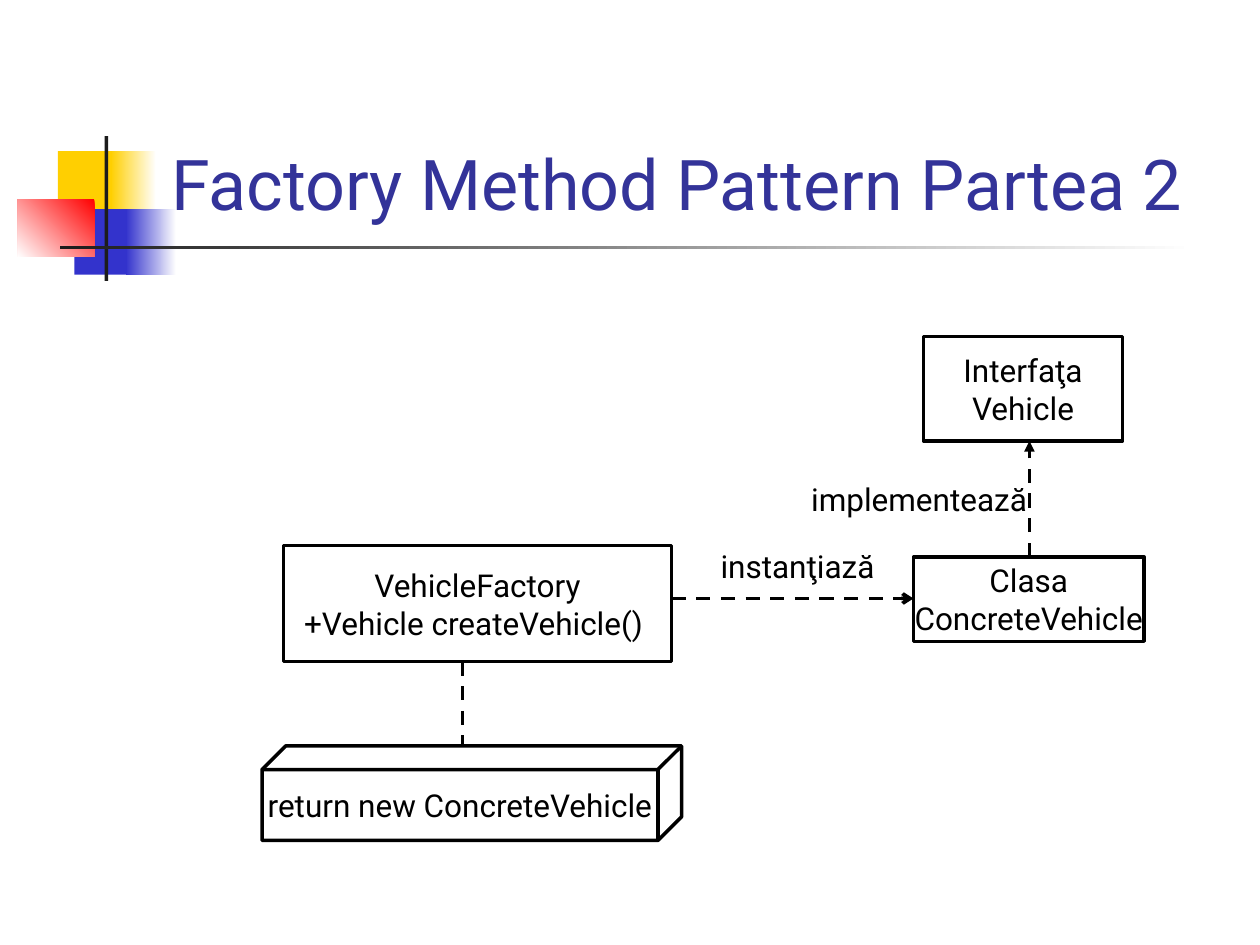
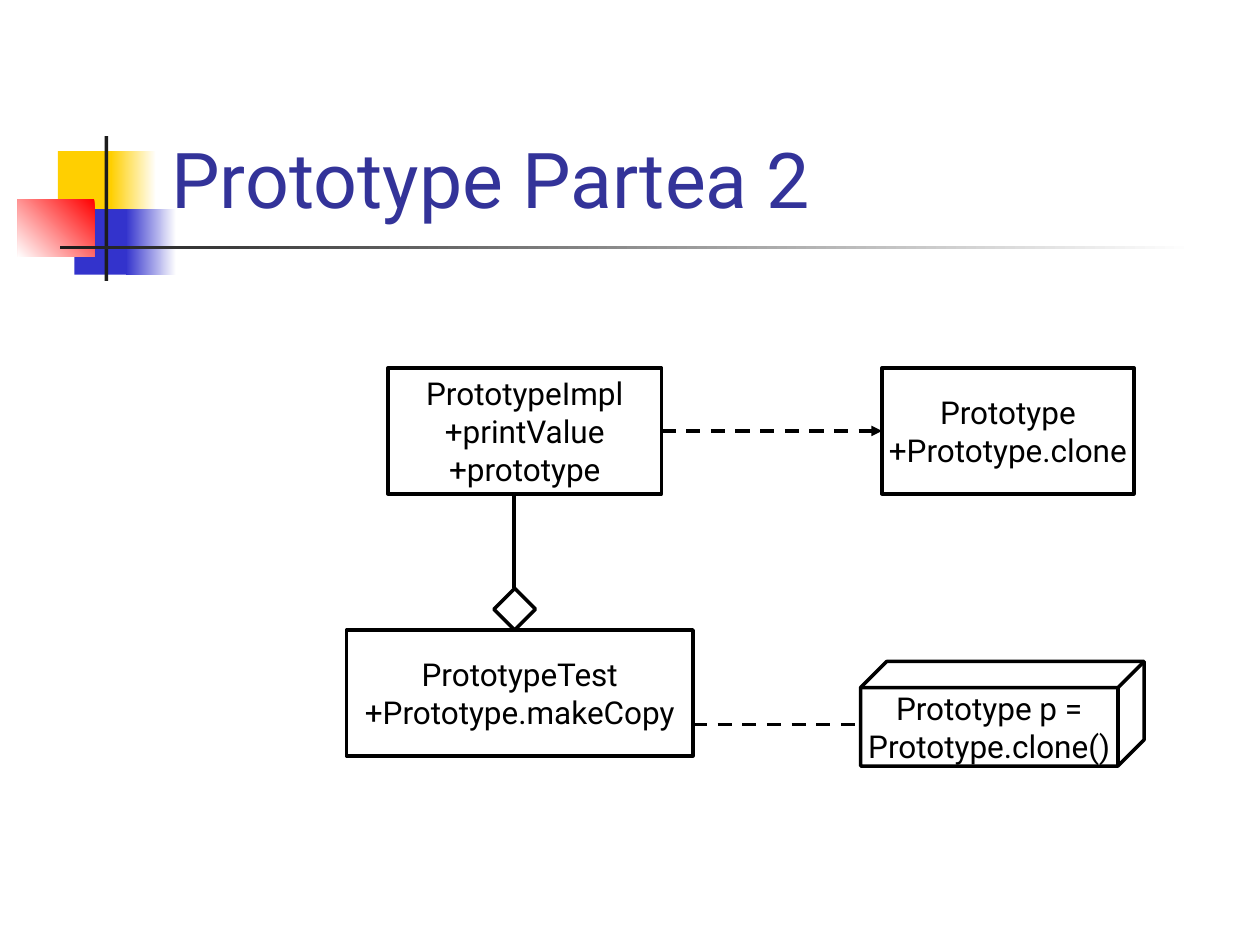
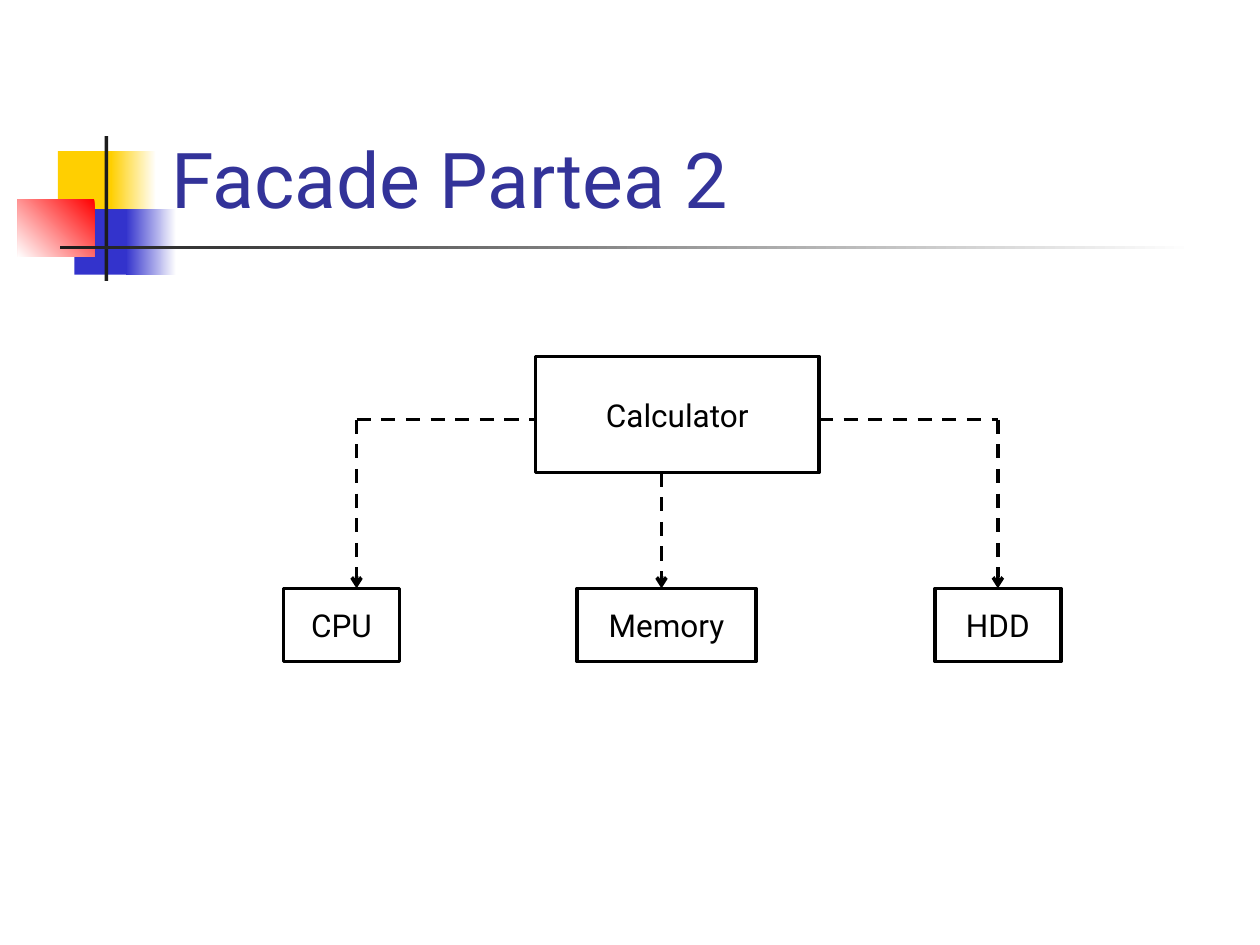
"""Build three design pattern slides with class diagrams."""
from dataclasses import dataclass

from lxml import etree
from pptx import Presentation
from pptx import util as u
from pptx.dml import color
from pptx.enum import dml, shapes, text
from pptx.oxml import ns

Kind = shapes.MSO_SHAPE


@dataclass(frozen=True)
class Theme:
    font: str = "Roboto"
    ink: str = "000000"
    heading: str = "333399"
    white: str = "FFFFFF"
    yellow: str = "FFCF01"
    blue: str = "3333CC"
    red: str = "FF0000"
    rule: str = "1C1C1C"
    title_size: int = 44
    long_title_size: int = 40
    body_size: int = 18
    stroke: int = 2


THEME = Theme()


@dataclass(frozen=True)
class Area:
    left: float
    top: float
    width: float
    height: float

    def lengths(self) -> tuple:
        return tuple(u.Inches(v) for v in (self.left, self.top, self.width, self.height))


@dataclass(frozen=True)
class Patch:
    area: Area
    start: str
    end: str = ""
    angle: int = 180


@dataclass(frozen=True)
class Node:
    area: Area
    words: str = ""
    kind: Kind = Kind.RECTANGLE


@dataclass(frozen=True)
class Label:
    area: Area
    words: str


@dataclass(frozen=True)
class Link:
    start: tuple[float, float]
    stop: tuple[float, float]
    arrow: str = ""
    dashed: bool = True


@dataclass(frozen=True)
class Diagram:
    title: str
    elements: tuple
    title_size: int = THEME.title_size


TITLE_AREA = Area(1.26, 0.23, 8.52, 1.6)

EMBLEM = (
    Patch(Area(0.46, 1.2, 0.48, 0.52), THEME.yellow),
    Patch(Area(0.88, 1.2, 0.36, 0.52), THEME.white, THEME.yellow),
    Patch(Area(0.59, 1.66, 0.46, 0.52), THEME.blue),
    Patch(Area(1, 1.66, 0.4, 0.52), THEME.white, THEME.blue),
    Patch(Area(0.14, 1.58, 0.61, 0.46), THEME.red, THEME.white, 225),
    Patch(Area(0.83, 1.08, 0.03, 1.15), THEME.rule),
    Patch(Area(0.48, 1.95, 9, 0.03), THEME.white, THEME.rule),
)

DIAGRAMS = (
    Diagram("Factory Method Pattern Partea 2", (
        Node(Area(7.33, 2.67, 1.58, 0.83), "Interfaţa\nVehicle"),
        Node(Area(7.25, 4.42, 1.83, 0.67), "Clasa\nConcreteVehicle"),
        Link((8.17, 4.42), (8.17, 3.5), "triangle"),
        Node(Area(2.25, 4.33, 3.08, 0.92), "VehicleFactory\n+Vehicle createVehicle() "),
        Link((5.33, 4.75), (7.25, 4.75), "arrow"),
        Label(Area(5.58, 4.33, 1.5, 0.33), "instanţiază"),
        Node(Area(2.08, 5.92, 3.33, 0.75), "return new ConcreteVehicle", Kind.CUBE),
        Link((3.67, 5.25), (3.67, 5.92)),
        Label(Area(6.67, 3.67, 1.25, 0.58), "implementează"),
    ), THEME.long_title_size),
    Diagram("Prototype Partea 2", (
        Node(Area(7, 2.92, 2, 1), "Prototype\n+Prototype.clone"),
        Node(Area(3.08, 2.92, 2.17, 1), "PrototypeImpl\n+printValue\n+prototype"),
        Link((5.25, 3.42), (7, 3.42), "triangle"),
        Node(Area(2.75, 5, 2.75, 1), "PrototypeTest\n+Prototype.makeCopy"),
        Node(Area(3.92, 4.67, 0.33, 0.33), kind=Kind.DIAMOND),
        Link((4.08, 4.67), (4.08, 3.92), dashed=False),
        Node(Area(6.83, 5.25, 2.25, 0.83), "Prototype p =\nPrototype.clone()", Kind.CUBE),
        Link((5.5, 5.75), (6.83, 5.75)),
    )),
    Diagram("Facade Partea 2", (
        Node(Area(4.25, 2.83, 2.25, 0.92), "Calculator"),
        Node(Area(2.25, 4.67, 0.92, 0.58), "CPU"),
        Node(Area(7.42, 4.67, 1, 0.58), "HDD"),
        Node(Area(4.58, 4.67, 1.42, 0.58), "Memory"),
        Link((5.25, 3.75), (5.25, 4.67), "arrow"),
        Link((7.92, 3.33), (7.92, 4.67), "arrow"),
        Link((6.5, 3.33), (7.92, 3.33)),
        Link((2.83, 3.33), (4.25, 3.33)),
        Link((2.83, 3.33), (2.83, 4.67), "arrow"),
    )),
)


def rgb(value: str) -> color.RGBColor:
    return color.RGBColor.from_string(value)


def write(frame, words: str, *, size: int = THEME.body_size, ink: str = THEME.ink,
          align=text.PP_ALIGN.CENTER, anchor=text.MSO_ANCHOR.MIDDLE,
          wrap: bool = False) -> None:
    frame.text = words
    frame.word_wrap = wrap
    frame.auto_size = text.MSO_AUTO_SIZE.NONE
    frame.vertical_anchor = anchor
    for paragraph in frame.paragraphs:
        paragraph.alignment = align
        paragraph.font.name = THEME.font
        paragraph.font.size = u.Pt(size)
        paragraph.font.color.rgb = rgb(ink)


def draw_patch(slide, patch: Patch):
    block = slide.shapes.add_shape(Kind.RECTANGLE, *patch.area.lengths())
    block.shadow.inherit = False
    block.line.fill.background()
    if patch.end:
        block.fill.gradient()
        block.fill.gradient_angle = patch.angle
        for stop, shade in zip(block.fill.gradient_stops, (patch.start, patch.end)):
            stop.color.rgb = rgb(shade)
    else:
        block.fill.solid()
        block.fill.fore_color.rgb = rgb(patch.start)
    return block


def move_emblem_to_layout(slide) -> None:
    layout_tree = slide.slide_layout.shapes.element
    for number, patch in enumerate(EMBLEM, start=20):
        element = draw_patch(slide, patch).element
        element.nvSpPr.cNvPr.set("id", str(number))
        layout_tree.append(element)


def draw_node(slide, node: Node) -> None:
    outline = slide.shapes.add_shape(node.kind, *node.area.lengths())
    outline.shadow.inherit = False
    outline.fill.background()
    outline.line.color.rgb = rgb(THEME.ink)
    outline.line.width = u.Pt(THEME.stroke)
    if node.words:
        write(outline.text_frame, node.words)


def draw_label(slide, label: Label) -> None:
    write(slide.shapes.add_textbox(*label.area.lengths()).text_frame, label.words)


def draw_link(slide, link: Link) -> None:
    ends = (u.Inches(v) for v in (*link.start, *link.stop))
    relation = slide.shapes.add_connector(shapes.MSO_CONNECTOR.STRAIGHT, *ends)
    relation.line.color.rgb = rgb(THEME.ink)
    relation.line.width = u.Pt(THEME.stroke)
    if link.dashed:
        relation.line.dash_style = dml.MSO_LINE.DASH
    properties = relation.element.spPr
    if link.arrow:
        etree.SubElement(properties.get_or_add_ln(), ns.qn("a:tailEnd"), type=link.arrow)
    etree.SubElement(properties, ns.qn("a:effectLst"))


def draw_title(slide, diagram: Diagram) -> None:
    heading = slide.shapes.title
    heading.left, heading.top, heading.width, heading.height = TITLE_AREA.lengths()
    write(heading.text_frame, diagram.title, size=diagram.title_size, ink=THEME.heading,
          align=text.PP_ALIGN.LEFT, anchor=text.MSO_ANCHOR.BOTTOM, wrap=True)


DRAW = {Node: draw_node, Label: draw_label, Link: draw_link}


def main() -> None:
    deck = Presentation()
    deck.slide_width, deck.slide_height = u.Inches(10), u.Inches(7.5)
    title_only = deck.slide_layouts[5]
    for diagram in DIAGRAMS:
        slide = deck.slides.add_slide(title_only)
        draw_title(slide, diagram)
        for element in diagram.elements:
            DRAW[type(element)](slide, element)
    move_emblem_to_layout(deck.slides[0])
    deck.save("out.pptx")


if __name__ == "__main__":
    main()
